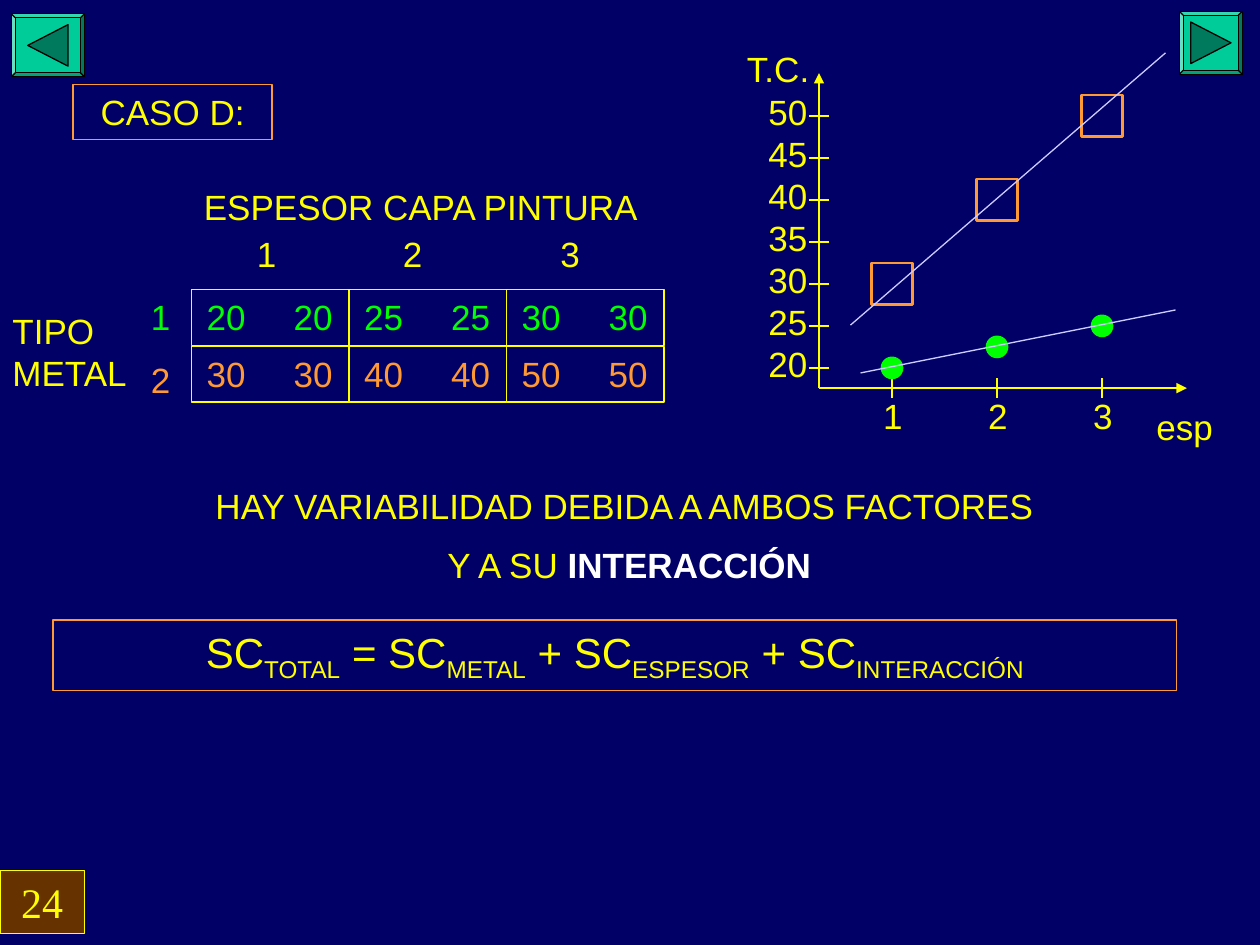
from dataclasses import dataclass

from lxml.etree import SubElement
from pptx import Presentation
from pptx.dml.color import RGBColor
from pptx.enum.shapes import MSO_CONNECTOR as CONN, MSO_SHAPE as SHAPE
from pptx.enum.text import MSO_ANCHOR as ANCHOR, MSO_AUTO_SIZE as AUTO, PP_ALIGN as ALIGN
from pptx.oxml.ns import qn
from pptx.slide import Slide
from pptx.util import Inches, Pt

NAVY, YELLOW, GREEN, ORANGE = "000066", "FFFF00", "00FF00", "FF9933"
WHITE, LILAC, BROWN, TEAL, DARK_TEAL = "FFFFFF", "CCCCFF", "663300", "00CC99", "007A5C"


def rgb(value):
    return RGBColor.from_string(value)


@dataclass
class Board:
    """Holds the text style and the slide being drawn."""

    s: Slide
    font: str = "Arial"
    size: float = 20

    def style(self, p, color=YELLOW, size=None, font=None, align=ALIGN.LEFT):
        p.alignment = align
        for r in p.runs:
            r.font.name = font or self.font
            r.font.size = Pt(size or self.size)
            r.font.color.rgb = rgb(color)

    def frame(self, sp):
        tf = sp.text_frame
        tf.word_wrap = True
        tf.auto_size = AUTO.NONE
        tf.vertical_anchor = ANCHOR.TOP
        return tf

    def text(self, x, y, w, h, text, color=YELLOW):
        sp = self.s.shapes.add_textbox(Inches(x), Inches(y), Inches(w), Inches(h))
        tf = self.frame(sp)
        tf.text = text
        self.style(tf.paragraphs[0], color)
        return tf

    def title(self, x, y, w, h, text):
        sp = self.s.shapes.title
        sp.left, sp.top, sp.width, sp.height = map(Inches, (x, y, w, h))
        tf = self.frame(sp)
        tf.text = text
        self.style(tf.paragraphs[0], align=ALIGN.CENTER)
        sp.line.color.rgb = rgb(ORANGE)
        sp.line.width = Pt(0.75)

    def shape(self, kind, x, y, w, h, line, fill=None, width=0.75):
        sp = self.s.shapes.add_shape(kind, Inches(x), Inches(y), Inches(w), Inches(h))
        sp.shadow.inherit = False
        if fill:
            sp.fill.solid()
            sp.fill.fore_color.rgb = rgb(fill)
        else:
            sp.fill.background()
        sp.line.color.rgb = rgb(line)
        sp.line.width = Pt(width)
        return sp

    def box(self, x, y, w, h, text, line, fill=None, **style):
        tf = self.frame(self.shape(SHAPE.RECTANGLE, x, y, w, h, line, fill))
        tf.text = text
        self.style(tf.paragraphs[0], **style)
        return tf

    def cell(self, x, y, w, h, value, color):
        tf = self.box(x, y, w, h, f"{value}\t{value}", YELLOW, color=color)
        tf.margin_left = Inches(0.12)
        tabs = SubElement(tf.paragraphs[0]._p.get_or_add_pPr(), qn("a:tabLst"))
        SubElement(tabs, qn("a:tab"), pos=str(Inches(1)), algn="r")

    def line(self, x1, y1, x2, y2, color=YELLOW, arrow=False):
        c = self.s.shapes.add_connector(
            CONN.STRAIGHT, Inches(x1), Inches(y1), Inches(x2), Inches(y2))
        c.line.color.rgb = rgb(color)
        c.line.width = Pt(0.75)
        if arrow:
            SubElement(c.line._get_or_add_ln(), qn("a:tailEnd"), type="triangle")
        SubElement(c._element.spPr, qn("a:effectLst"))

    def marker(self, kind, cx, cy, size, color, fill=None, width=0.75):
        self.shape(kind, cx - size / 2, cy - size / 2, size, size, color, fill, width)

    def button(self, x, y, w, h, rotation):
        bevel = self.shape(SHAPE.BEVEL, x, y, w, h, "000000", TEAL)
        bevel.adjustments[0] = 0.0625
        tw, th = 0.33, 0.32
        arrow = self.shape(SHAPE.ISOSCELES_TRIANGLE, x + (w - tw) / 2,
                           y + (h - th) / 2, tw, th, "000000", DARK_TEAL)
        arrow.rotation = rotation


def draw_design(b):
    cell_w, cell_h, left = 1.25, 0.44, 1.52
    rows = [(2.3, GREEN, (20, 25, 30)), (2.75, ORANGE, (30, 40, 50))]
    for y, color, values in rows:
        for col, value in enumerate(values):
            b.cell(left + col * cell_w, y, cell_w, cell_h, value, color)
    for level, x in enumerate((1.94, 3.1, 4.35), 1):
        b.text(x, 1.8, 0.83, cell_h, str(level))
    b.text(1.1, 2.3, 0.83, cell_h, "1", GREEN)
    b.text(1.1, 2.8, 0.83, cell_h, "2", ORANGE)
    b.text(0, 2.41, 1.25, 0.77, "TIPO METAL")
    b.text(left, 1.42, 4, cell_h, "ESPESOR CAPA PINTURA")


def draw_plot(b):
    def x_of(level):
        return 7.08 + (level - 1) * 2.5 / 3

    def y_of(value):
        return 2.92 - (value - 20) / 15

    axis_x, axis_y, tick = 6.5, 3.08, 0.08
    b.line(axis_x, axis_y, axis_x, 0.58, arrow=True)
    b.line(axis_x, axis_y, 9.42, axis_y, arrow=True)
    for value in range(20, 51, 5):
        y = y_of(value)
        b.line(axis_x - tick, y, axis_x + tick, y)
        b.text(6, y - 0.25, 0.58, 0.44, str(value))
    for level in (1, 2, 3):
        x = x_of(level)
        b.line(x, axis_y - tick, x, axis_y + tick)
        b.text(x - 0.17, axis_y, 0.58, 0.44, str(level))
    b.text(5.83, 0.33, 0.92, 0.44, "T.C.")
    b.text(9.08, 3.17, 0.92, 0.44, "esp")
    for level, (low, high) in enumerate(((20, 30), (22.5, 40), (25, 50)), 1):
        b.marker(SHAPE.OVAL, x_of(level), y_of(low), 0.17, GREEN, GREEN)
        b.marker(SHAPE.RECTANGLE, x_of(level), y_of(high), 0.33, ORANGE, width=1.5)


def draw_conclusion(b):
    tf = b.text(0.83, 3.83, 8.33, 0.88, "HAY VARIABILIDAD DEBIDA A AMBOS FACTORES ")
    p = tf.add_paragraph()
    p.text = "Y A SU "
    p.space_before = Pt(12.5)
    p.add_run().text = "INTERACCIÓN"
    for para in tf.paragraphs:
        para.line_spacing = 0.9
        b.style(para, align=ALIGN.CENTER)
    p.runs[-1].font.bold = True
    p.runs[-1].font.color.rgb = rgb(WHITE)

    p = b.box(0.42, 4.92, 8.92, 0.56, "", ORANGE).paragraphs[0]
    lead = "SC"
    for term, joint in (("TOTAL", " = "), ("METAL", " + "),
                        ("ESPESOR", " + "), ("INTERACCIÓN", "")):
        p.add_run().text = lead
        sub = p.add_run()
        sub.text = term
        sub._r.get_or_add_rPr().set("baseline", "-25000")
        lead = joint + "SC"
    b.style(p, size=24, align=ALIGN.CENTER)


def main():
    prs = Presentation()
    prs.slide_width, prs.slide_height = Inches(10), Inches(7.5)
    s = prs.slides.add_slide(prs.slide_layouts[5])
    s.background.fill.solid()
    s.background.fill.fore_color.rgb = rgb(NAVY)
    b = Board(s)
    b.box(0, 6.91, 0.67, 0.5, "24", YELLOW, BROWN,
          size=24, font="Times New Roman", align=ALIGN.CENTER)
    b.button(9.36, 0.09, 0.5, 0.5, 90)
    b.button(0.09, 0.11, 0.58, 0.5, -90)
    b.title(0.58, 0.67, 1.58, 0.44, "CASO D:")
    draw_design(b)
    draw_plot(b)
    draw_conclusion(b)
    b.line(6.83, 2.96, 9.33, 2.46, LILAC)
    b.line(6.75, 2.58, 9.25, 0.42, LILAC)
    prs.save("out.pptx")


if __name__ == "__main__":
    main()
